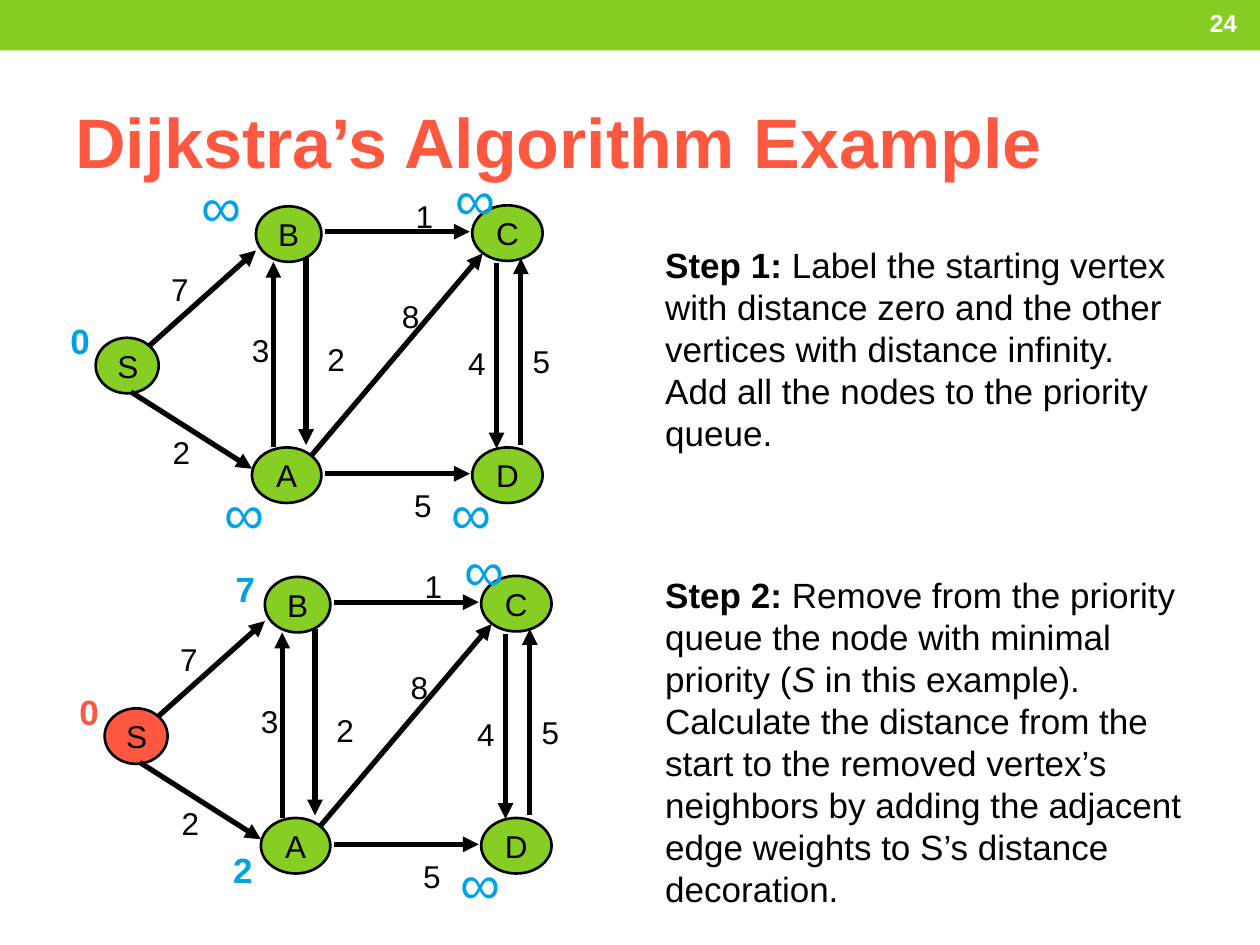
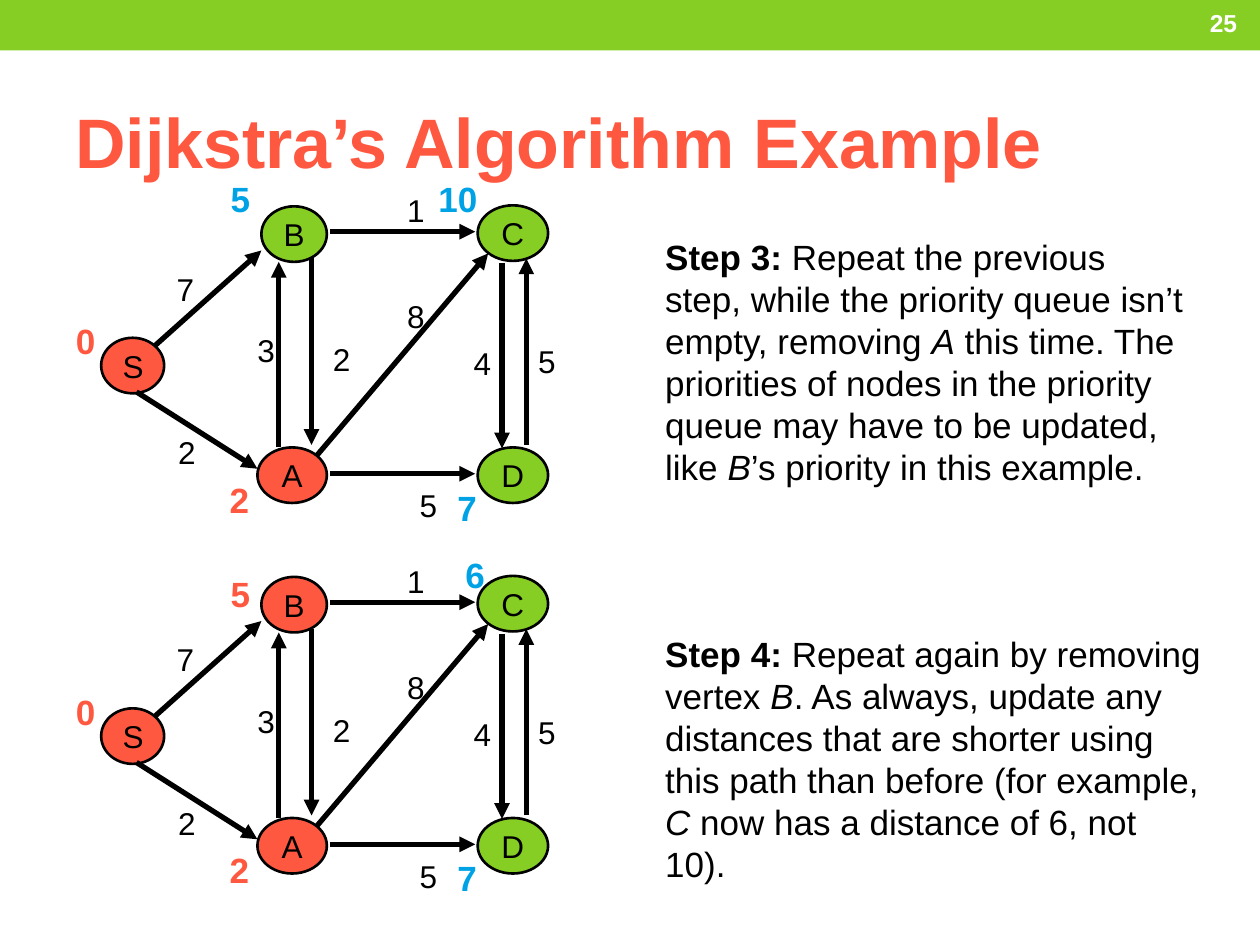
"""Build two slides that walk through Dijkstra's algorithm on a small graph."""
from dataclasses import dataclass
from typing import NamedTuple

from lxml.etree import SubElement
from pptx import Presentation
from pptx.dml.color import RGBColor
from pptx.enum.shapes import MSO_CONNECTOR as Connector, MSO_SHAPE as Shape
from pptx.enum.text import MSO_ANCHOR as Anchor, PP_ALIGN as Align
from pptx.oxml.ns import qn
from pptx.util import Cm, Pt


@dataclass(frozen=True)
class Theme:
    font: str = "Arial"
    green: RGBColor = RGBColor(0x86, 0xCE, 0x24)
    red: RGBColor = RGBColor(0xFF, 0x58, 0x40)
    blue: RGBColor = RGBColor(0x00, 0xA2, 0xE6)
    black: RGBColor = RGBColor(0, 0, 0)
    white: RGBColor = RGBColor(255, 255, 255)
    title_size: int = 40
    infinity_size: int = 32
    body_size: int = 20
    label_size: int = 18
    number_size: int = 14
    node_line: float = 1.5
    edge_line: float = 3


THEME = Theme()


class Area(NamedTuple):
    left: float
    top: float
    width: float
    height: float


class Node(NamedTuple):
    name: str
    left: float
    top: float
    width: float


class Edge(NamedTuple):
    start_x: float
    start_y: float
    end_x: float
    end_y: float


class Label(NamedTuple):
    text: str
    left: float
    top: float


@dataclass(frozen=True)
class Graph:
    left: float
    top: float
    visited: str
    distances: dict[str, Label]
    top_weight: Label


@dataclass(frozen=True)
class Step:
    heading: str
    body: str
    area: Area
    graph: Graph


@dataclass(frozen=True)
class Page:
    number: int
    steps: tuple[Step, ...]


TITLE = "Dijkstra’s Algorithm Example"
TITLE_AREA = Area(1.27, 1.47, 22.86, 2.74)
BAND_AREA = Area(0, 0, 25.4, 1.02)
NUMBER_AREA = Area(22.22, 0, 2.97, 0.91)
NODE_HEIGHT = 1.12
STEP_LEFT = 13.16
UPPER, LOWER = 4.14, 11.61

NODES = (
    Node("S", 0, 2.67, 1.27),
    Node("B", 3.23, 0.02, 1.32),
    Node("A", 3.15, 4.88, 1.4),
    Node("D", 7.59, 4.88, 1.42),
    Node("C", 7.59, 0, 1.42),
)
EDGES = (
    Edge(1.07, 2.84, 3.23, 0.91),
    Edge(0.71, 3.76, 3.15, 5.31),
    Edge(4.62, 0.53, 7.54, 0.53),
    Edge(4.62, 5.41, 7.54, 5.41),
    Edge(4.34, 5.05, 7.8, 0.97),
    Edge(8.57, 4.83, 8.57, 1.07),
    Edge(3.58, 4.88, 3.58, 1.14),
    Edge(4.24, 1.07, 4.24, 4.83),
    Edge(8.08, 1.17, 8.08, 4.9),
)
WEIGHTS = (
    Label("7", 1.27, 1.17),
    Label("8", 5.92, 1.73),
    Label("2", 1.3, 4.47),
    Label("3", 2.9, 2.41),
    Label("2", 4.42, 2.59),
    Label("5", 6.17, 5.54),
    Label("5", 8.56, 2.64),
    Label("4", 7.26, 2.67),
)
START = Label("0", -0.76, 2.18)
FAR_C = Label("∞", 7.01, -0.94)
FAR_D = Label("∞", 6.93, 5.38)
NEAR_A = Label("2", 2.34, 5.38)
NEAR_D = Label("7", 6.93, 5.54)
LOW_ONE = Label("1", 6.2, -0.3)
HIGH_ONE = Label("1", 5.92, -0.41)

PAGES = (
    Page(24, (
        Step("Step 1: ",
             "Label the starting vertex with distance zero and the other vertices "
             "with distance infinity. Add all the nodes to the priority queue.",
             Area(STEP_LEFT, 4.78, 10.96, 4.52),
             Graph(1.93, UPPER, "",
                   {"S": START, "B": Label("∞", 1.88, -0.81),
                    "A": Label("∞", 2.34, 5.38), "C": FAR_C, "D": FAR_D}, LOW_ONE)),
        Step("Step 2: ",
             "Remove from the priority queue the node with minimal priority (*S *in "
             "this example). Calculate the distance from the start to the removed "
             "vertex’s neighbors by adding the adjacent edge weights to S’s distance "
             "decoration.",
             Area(STEP_LEFT, 11.43, 10.96, 7.09),
             Graph(2.11, LOWER, "S",
                   {"S": START, "B": Label("7", 2.39, -0.3),
                    "A": NEAR_A, "C": FAR_C, "D": FAR_D}, LOW_ONE)),
    )),
    Page(25, (
        Step("Step 3: ",
             "Repeat the previous step, while the priority queue isn’t empty, removing "
             "*A* this time. The priorities of nodes in the priority queue may have to "
             "be updated, like *B*’s priority in this example.",
             Area(STEP_LEFT, 4.62, 10.96, 5.38),
             Graph(2.04, UPPER, "SA",
                   {"S": START, "B": Label("5", 2.36, -0.69),
                    "A": NEAR_A, "C": Label("10", 6.55, -0.69), "D": NEAR_D}, HIGH_ONE)),
        Step("Step 4: ",
             "Repeat again by removing vertex *B*. As always, update any distances that "
             "are shorter using this path than before (for example, *C* now has a "
             "distance of 6, not 10).",
             Area(STEP_LEFT, 12.62, 11.4, 4.52),
             Graph(2.04, LOWER, "SAB",
                   {"S": START, "B": Label("5", 2.36, -0.2),
                    "A": NEAR_A, "C": Label("6", 7.09, -0.58), "D": NEAR_D}, HIGH_ONE)),
    )),
)


def lengths(area: Area) -> list[Cm]:
    """Turn an area into slide lengths."""
    return [Cm(value) for value in area]


def style_span(span, size: int, color: RGBColor, bold: bool = False, italic: bool = False) -> None:
    """Format one run of text."""
    span.font.name = THEME.font
    span.font.size = Pt(size)
    span.font.color.rgb = color
    span.font.bold = bold
    span.font.italic = italic


def add_text(shapes, area: Area, text: str, size: int, color: RGBColor, bold: bool = False,
             align: Align = Align.LEFT, anchor: Anchor = Anchor.TOP):
    """Add a wrapping text box and return its paragraph."""
    frame = shapes.add_textbox(*lengths(area)).text_frame
    frame.word_wrap = True
    frame.vertical_anchor = anchor
    frame.text = text
    para = frame.paragraphs[0]
    para.alignment = align
    style_span(para.runs[0], size, color, bold)
    return para


def add_solid(shapes, kind: Shape, area: Area, color: RGBColor):
    """Add a filled preset shape without line or shadow."""
    shape = shapes.add_shape(kind, *lengths(area))
    shape.shadow.inherit = False
    shape.fill.solid()
    shape.fill.fore_color.rgb = color
    shape.line.fill.background()
    return shape


def add_node(shapes, node: Node, graph: Graph, color: RGBColor) -> None:
    """Draw one vertex with its name."""
    area = Area(graph.left + node.left, graph.top + node.top, node.width, NODE_HEIGHT)
    oval = add_solid(shapes, Shape.OVAL, area, color)
    oval.line.color.rgb = THEME.black
    oval.line.width = Pt(THEME.node_line)
    oval.text_frame.text = node.name
    oval.text_frame.vertical_anchor = Anchor.MIDDLE
    para = oval.text_frame.paragraphs[0]
    para.alignment = Align.CENTER
    style_span(para.runs[0], THEME.label_size, THEME.black)


def add_edge(shapes, edge: Edge, graph: Graph) -> None:
    """Draw one directed edge with an arrowhead."""
    arrow = shapes.add_connector(
        Connector.STRAIGHT,
        Cm(graph.left + edge.start_x), Cm(graph.top + edge.start_y),
        Cm(graph.left + edge.end_x), Cm(graph.top + edge.end_y))
    arrow.line.color.rgb = THEME.black
    arrow.line.width = Pt(THEME.edge_line)
    SubElement(arrow.line._get_or_add_ln(), qn("a:tailEnd"), type="triangle")
    SubElement(arrow._element.spPr, qn("a:effectLst"))


def add_weight(shapes, weight: Label, graph: Graph) -> None:
    """Write the weight of one edge."""
    area = Area(graph.left + weight.left, graph.top + weight.top, 0.66, 0.84)
    add_text(shapes, area, weight.text, THEME.label_size, THEME.black)


def add_distance(shapes, distance: Label, graph: Graph, color: RGBColor) -> None:
    """Write the distance found so far for one vertex."""
    infinite = distance.text == "∞"
    area = Area(graph.left + distance.left, graph.top + distance.top,
                1.63 if len(distance.text) > 1 else 1.09, 1.45 if infinite else 1.12)
    size = THEME.infinity_size if infinite else THEME.body_size
    add_text(shapes, area, distance.text, size, color, bold=not infinite)


def add_graph(page, graph: Graph) -> None:
    """Draw a graph as one group, with visited vertices in red."""
    shapes = page.shapes.add_group_shape().shapes
    for node in NODES:
        add_node(shapes, node, graph, THEME.red if node.name in graph.visited else THEME.green)
    for edge in EDGES:
        add_edge(shapes, edge, graph)
    for weight in (*WEIGHTS, graph.top_weight):
        add_weight(shapes, weight, graph)
    for name, distance in graph.distances.items():
        add_distance(shapes, distance, graph, THEME.red if name in graph.visited else THEME.blue)


def add_step(page, step: Step) -> None:
    """Write a step, with asterisks around its italic parts, and draw its graph."""
    para = add_text(page.shapes, step.area, step.heading, THEME.body_size, THEME.black, bold=True)
    for index, part in enumerate(step.body.split("*")):
        span = para.add_run()
        span.text = part
        style_span(span, THEME.body_size, THEME.black, italic=index % 2 == 1)
    add_graph(page, step.graph)


def add_page(deck, content: Page) -> None:
    """Add one slide with band, title, number and steps."""
    page = deck.slides.add_slide(deck.slide_layouts[6])
    add_solid(page.shapes, Shape.RECTANGLE, BAND_AREA, THEME.green)
    add_text(page.shapes, TITLE_AREA, TITLE, THEME.title_size, THEME.red,
             bold=True, anchor=Anchor.MIDDLE)
    add_text(page.shapes, NUMBER_AREA, str(content.number), THEME.number_size, THEME.white,
             bold=True, align=Align.RIGHT, anchor=Anchor.MIDDLE)
    for step in content.steps:
        add_step(page, step)


def main() -> None:
    """Build and save the deck."""
    deck = Presentation()
    deck.slide_width, deck.slide_height = Cm(25.4), Cm(19.05)
    for content in PAGES:
        add_page(deck, content)
    deck.save("out.pptx")


if __name__ == "__main__":
    main()
